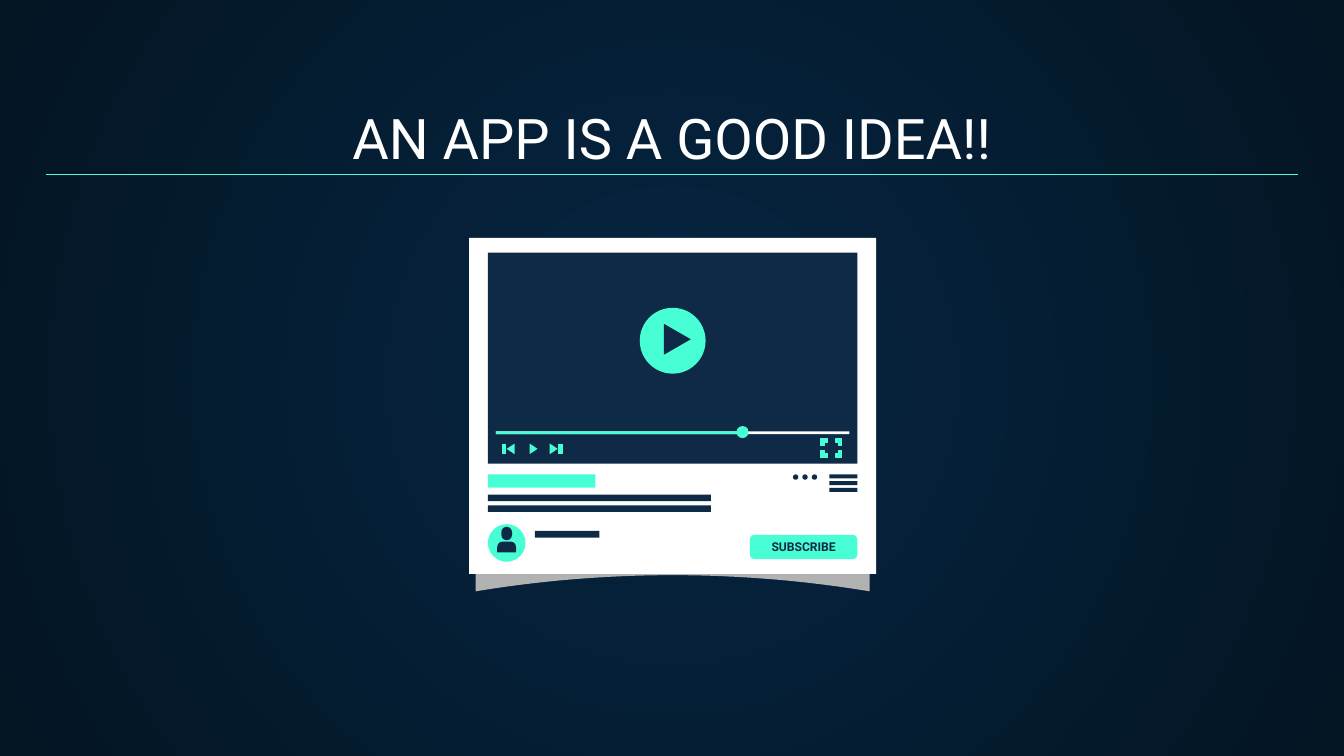
from lxml.etree import SubElement
from pptx import Presentation
from pptx.dml.color import RGBColor
from pptx.enum.shapes import MSO_CONNECTOR, MSO_SHAPE
from pptx.enum.text import MSO_ANCHOR, PP_ALIGN
from pptx.oxml.ns import qn
from pptx.util import Inches, Pt

WHITE = RGBColor(0xFF, 0xFF, 0xFF)
MINT = RGBColor(0x48, 0xFF, 0xD5)
NAVY = RGBColor(0x0E, 0x2A, 0x47)
GREY = RGBColor(0xB3, 0xB2, 0xB2)
GLOW = RGBColor(0x05, 0x26, 0x43)
DEEP = RGBColor(0x04, 0x15, 0x23)
FONT = "Roboto"
ICON_STROKE = 2.45


def paint_background(slide):
    """Radial gradient, lighter in the centre."""
    fill = slide.background.fill
    fill.gradient()
    for stop, color in zip(fill.gradient_stops, (GLOW, DEEP)):
        stop.color.rgb = color
    gradient = slide.element.find(".//" + qn("a:gradFill"))
    gradient.remove(gradient.find(qn("a:lin")))
    circle = SubElement(gradient, qn("a:path"), path="circle")
    SubElement(circle, qn("a:fillToRect"), l="50000", t="50000", r="50000", b="50000")


def add_block(shapes, left, top, width, height, color, kind=MSO_SHAPE.RECTANGLE, corner=None):
    shape = shapes.add_shape(kind, Inches(left), Inches(top), Inches(width), Inches(height))
    shape.shadow.inherit = False
    shape.fill.solid()
    shape.fill.fore_color.rgb = color
    shape.line.fill.background()
    if corner is not None:
        shape.adjustments[0] = corner
    return shape


def add_outline(shapes, points, color, closed=True):
    """Filled polygon, or an open stroke with sharp corners when not closed."""
    start, *rest = [(Inches(x), Inches(y)) for x, y in points]
    builder = shapes.build_freeform(*start)
    builder.add_line_segments(rest, close=closed)
    shape = builder.convert_to_shape()
    shape.shadow.inherit = False
    if closed:
        shape.fill.solid()
        shape.fill.fore_color.rgb = color
        shape.line.fill.background()
    else:
        shape.fill.background()
        shape.line.color.rgb = color
        shape.line.width = Pt(ICON_STROKE)
        stroke = shape.element.spPr.find(qn("a:ln"))
        SubElement(stroke, qn("a:miter"), lim="800000")


def add_line(shapes, x1, y1, x2, y2, color, width):
    line = shapes.add_connector(
        MSO_CONNECTOR.STRAIGHT, Inches(x1), Inches(y1), Inches(x2), Inches(y2))
    line.line.color.rgb = color
    line.line.width = Pt(width)
    SubElement(line.element.spPr, qn("a:effectLst"))


def add_triangle(shapes, left, top, width, height, color, backward=False):
    base, tip = (left + width, left) if backward else (left, left + width)
    add_outline(shapes, [(base, top), (tip, top + height / 2), (base, top + height)], color)


def write_text(frame, text, size, color, bold=False):
    paragraph = frame.paragraphs[0]
    paragraph.alignment = PP_ALIGN.CENTER
    run = paragraph.add_run()
    run.text = text
    run.font.name = FONT
    run.font.size = Pt(size)
    run.font.bold = bold
    run.font.color.rgb = color


def add_title(slide, left, top, width, height):
    box = slide.shapes.add_textbox(Inches(left), Inches(top), Inches(width), Inches(height))
    frame = box.text_frame
    frame.word_wrap = True
    frame.vertical_anchor = MSO_ANCHOR.BOTTOM
    frame.margin_left = frame.margin_right = Inches(0.1)
    frame.margin_top = frame.margin_bottom = Inches(0.1)
    write_text(frame, "AN APP IS A GOOD IDEA!!", 30, WHITE)
    add_line(slide.shapes, left, top + 0.59, left + width, top + 0.59, MINT, 0.75)


def add_card(shapes, left, top, width, height):
    """White card on a paper shadow with a curved lower edge."""
    centre, half, steps = left + width / 2, width / 2 - 0.05, 24
    curve = []
    for step in range(steps + 1):
        t = 2 * step / steps - 1
        curve.append((centre + half * t, top + height + 0.01 + 0.12 * t * t))
    corners = [(centre + half, top + 0.46), (centre - half, top + 0.46)]
    add_outline(shapes, curve + corners, GREY)
    add_block(shapes, left, top, width, height, WHITE)


def add_player(shapes, left, top, width, height):
    add_block(shapes, left, top, width, height, NAVY)
    # Progress bar
    bar_left, bar_top = left + 0.06, top + 1.33
    add_block(shapes, bar_left, bar_top, width - 0.12, 0.02, WHITE)
    add_block(shapes, bar_left, bar_top, 1.84, 0.02, MINT)
    add_block(shapes, bar_left + 1.79, bar_top - 0.04, 0.09, 0.09, MINT, MSO_SHAPE.OVAL)
    # Large play button
    play_left, play_top = left + 1.13, top + 0.41
    add_block(shapes, play_left, play_top, 0.49, 0.49, MINT, MSO_SHAPE.OVAL)
    add_triangle(shapes, play_left + 0.18, play_top + 0.12, 0.2, 0.23, NAVY)
    # Previous, play and next
    icon_top, icon_height = top + 1.42, 0.08
    add_triangle(shapes, left + 0.14, icon_top, 0.06, icon_height, MINT, backward=True)
    for x in (0.31, 0.46):
        add_triangle(shapes, left + x, icon_top, 0.06, icon_height, MINT)
    for x in (0.12, 0.54):
        add_line(shapes, left + x, icon_top, left + x, icon_top + icon_height, MINT, ICON_STROKE)
    # Full-screen corners
    arm = 0.04
    for x, dx in ((left + 2.49, arm), (left + 2.62, -arm)):
        for y, dy in ((top + 1.4, arm), (top + 1.51, -arm)):
            add_outline(shapes, [(x, y + dy), (x, y), (x + dx, y)], MINT, closed=False)


def add_details(shapes, left, top, width):
    # Heading and description bars
    add_block(shapes, left, top, 0.8, 0.1, MINT)
    for row in range(2):
        add_block(shapes, left, top + 0.15 + 0.08 * row, 1.66, 0.05, NAVY)
    # Dots and menu
    for index in range(3):
        add_block(shapes, left + 2.27 + 0.07 * index, top, 0.04, 0.04, NAVY, MSO_SHAPE.OVAL)
        add_block(shapes, left + width - 0.21, top + 0.05 * index, 0.21, 0.03, NAVY)
    # Channel avatar and name
    avatar_top = top + 0.37
    add_block(shapes, left, avatar_top, 0.28, 0.28, MINT, MSO_SHAPE.OVAL)
    add_block(shapes, left + 0.1, avatar_top + 0.02, 0.08, 0.1, NAVY,
              MSO_SHAPE.ROUNDED_RECTANGLE, 0.5)
    add_block(shapes, left + 0.07, avatar_top + 0.13, 0.14, 0.08, NAVY,
              MSO_SHAPE.ROUND_2_SAME_RECTANGLE, 0.5)
    add_block(shapes, left + 0.35, top + 0.42, 0.48, 0.05, NAVY)
    # Subscribe button
    button = add_block(shapes, left + width - 0.8, top + 0.45, 0.8, 0.18, MINT,
                       MSO_SHAPE.ROUNDED_RECTANGLE, 0.19)
    frame = button.text_frame
    frame.margin_left = frame.margin_right = frame.margin_top = frame.margin_bottom = 0
    frame.vertical_anchor = MSO_ANCHOR.MIDDLE
    write_text(frame, "SUBSCRIBE", 6.5, NAVY, bold=True)


def add_video_page(slide, left, top, width, height):
    shapes = slide.shapes.add_group_shape().shapes
    add_card(shapes, left, top, width, height)
    inner_left, inner_width = left + 0.14, width - 0.28
    add_player(shapes, inner_left, top + 0.11, inner_width, 1.57)
    add_details(shapes, inner_left, top + 1.76, inner_width)


def main():
    presentation = Presentation()
    presentation.slide_width = Inches(10)
    presentation.slide_height = Inches(10) * 9 // 16
    slide = presentation.slides.add_slide(presentation.slide_layouts[6])
    paint_background(slide)
    add_title(slide, 0.34, 0.71, 9.32, 0.66)
    add_video_page(slide, 3.49, 1.77, 3.03, 2.5)
    presentation.save("out.pptx")


if __name__ == "__main__":
    main()
